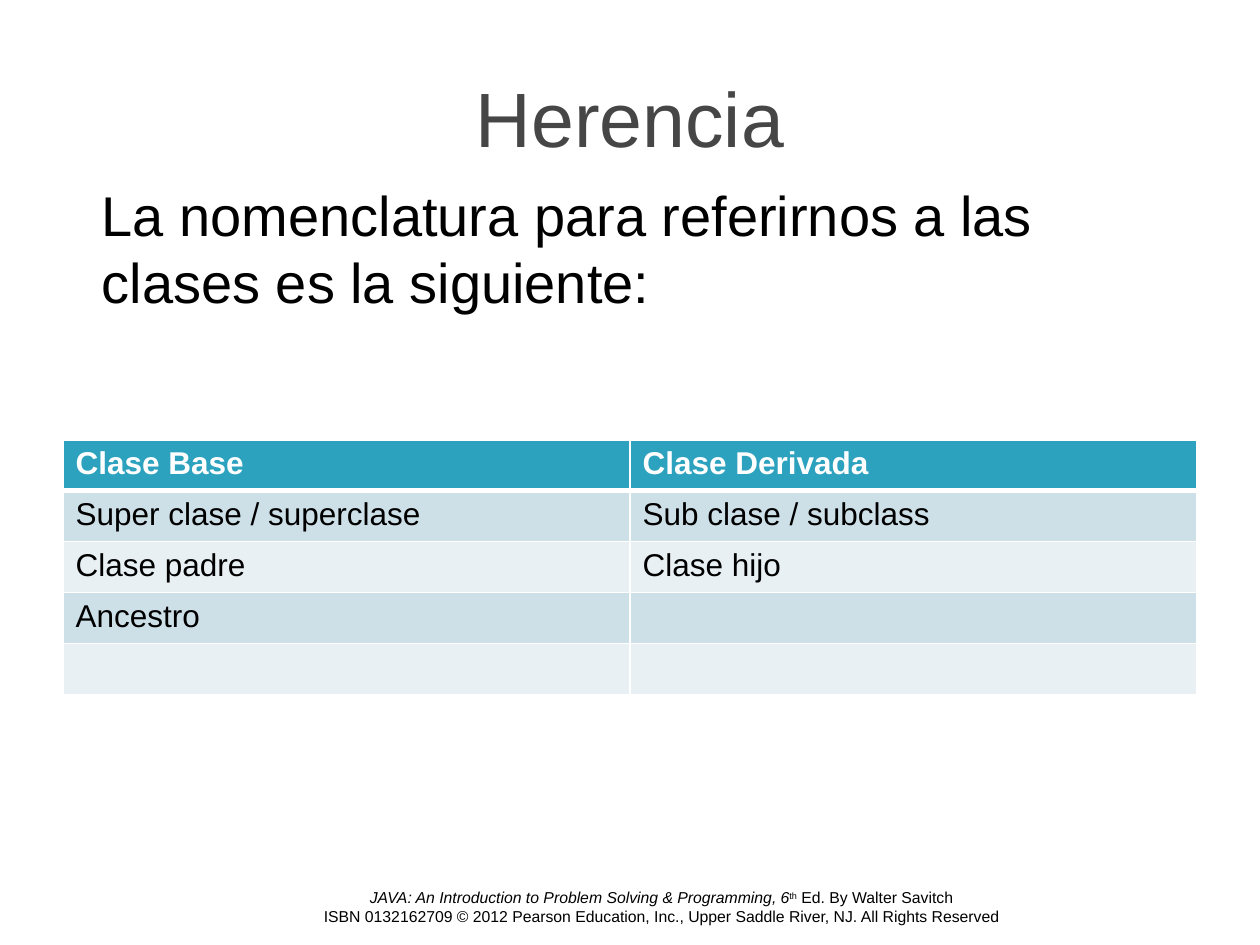
from pptx import Presentation
from pptx.dml.color import RGBColor
from pptx.enum.text import MSO_ANCHOR, PP_ALIGN
from pptx.oxml.ns import qn
from pptx.util import Pt
from lxml.etree import SubElement

HUES = {"title": "464646", "text": "000000", "white": "FFFFFF",
        "head": "2DA2BF", "odd": "CDE0E8", "even": "E8F0F4"}
TITLE = "Herencia"
INTRO = "La nomenclatura para referirnos a las clases es la siguiente:"
ROWS = [("Clase Base", "Clase Derivada"),
        ("Super clase / superclase", "Sub clase / subclass"),
        ("Clase padre", "Clase hijo"),
        ("Ancestro", ""),
        ("", "")]
BOOK = "JAVA: An Introduction to Problem Solving & Programming, 6"
CREDIT = ("ISBN 0132162709 © 2012 Pearson Education, Inc., "
          "Upper Saddle River, NJ. All Rights Reserved")


def write(para, text, size=18, hue="text", bold=False, italic=False,
          align=PP_ALIGN.LEFT, base=0):
    para.alignment = align
    run = para.add_run()
    run.text = text
    font = run.font
    font.name, font.size = "Arial", Pt(size)
    font.bold, font.italic = bold, italic
    font.color.rgb = RGBColor.from_string(HUES[hue])
    if base:
        font._element.set("baseline", str(base * 1000))


def edge(cell, side, width):
    line = SubElement(cell._tc.get_or_add_tcPr(), qn("a:" + side), w=str(Pt(width)))
    fill = SubElement(line, qn("a:solidFill"))
    SubElement(fill, qn("a:srgbClr"), val=HUES["white"])


def add_box(slide, *area):
    frame = slide.shapes.add_textbox(*map(Pt, area)).text_frame
    frame.word_wrap = True
    return frame.paragraphs[0]


def add_grid(slide):
    grid = slide.shapes.add_table(len(ROWS), 2, Pt(36), Pt(251.3), Pt(648), Pt(144.7)).table
    for r, row in enumerate(ROWS):
        grid.rows[r].height = Pt(29.2 if r else 27.9)
        for c, text in enumerate(row):
            cell = grid.cell(r, c)
            for side in ("lnL", "lnR", "lnT", "lnB"):
                thick = (r, side) in ((0, "lnB"), (1, "lnT"))
                edge(cell, side, 3 if thick else 1)
            tone = "head" if r == 0 else "odd" if r % 2 else "even"
            cell.fill.solid()
            cell.fill.fore_color.rgb = RGBColor.from_string(HUES[tone])
            if text:
                write(cell.text_frame.paragraphs[0], text, bold=r == 0,
                      hue="text" if r else "white")


def main():
    deck = Presentation()
    deck.slide_width, deck.slide_height = Pt(720), Pt(540)
    slide = deck.slides.add_slide(deck.slide_layouts[5])

    foot = add_box(slide, 54, 504, 648, 28.8)
    style = {"size": 9, "align": PP_ALIGN.CENTER}
    write(foot, BOOK, italic=True, **style)
    write(foot, "th", base=30, **style)
    write(foot, " Ed. By Walter Savitch", **style)
    foot.add_line_break()
    write(foot, CREDIT, **style)

    title = slide.shapes.title
    title.left, title.top, title.width, title.height = map(Pt, (36, 21.6, 648, 90))
    title.text_frame.vertical_anchor = MSO_ANCHOR.MIDDLE
    write(title.text_frame.paragraphs[0], TITLE, size=44, hue="title", align=PP_ALIGN.CENTER)

    add_grid(slide)
    write(add_box(slide, 51, 99.4, 633, 85), INTRO, size=32)
    deck.save("out.pptx")


if __name__ == "__main__":
    main()
